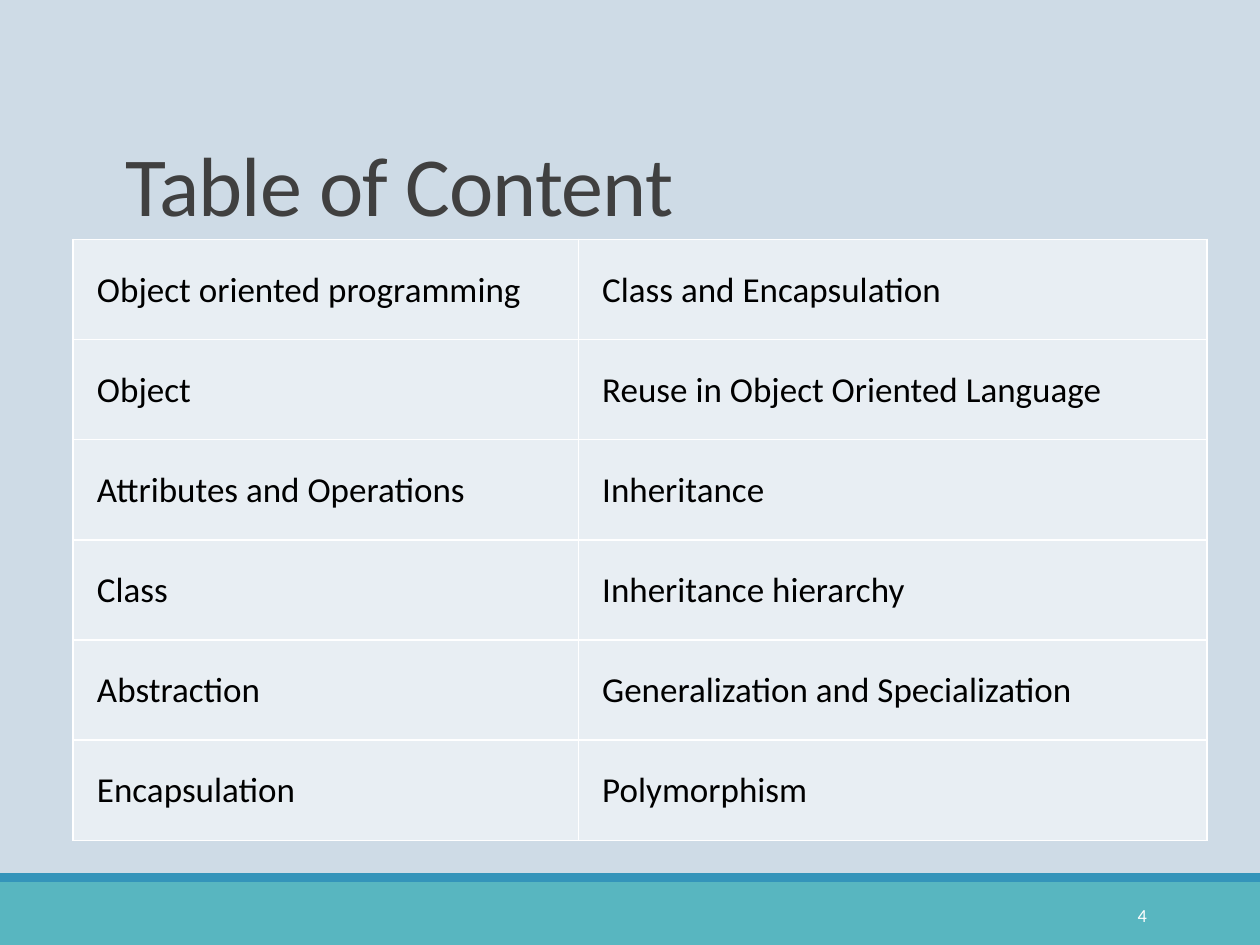
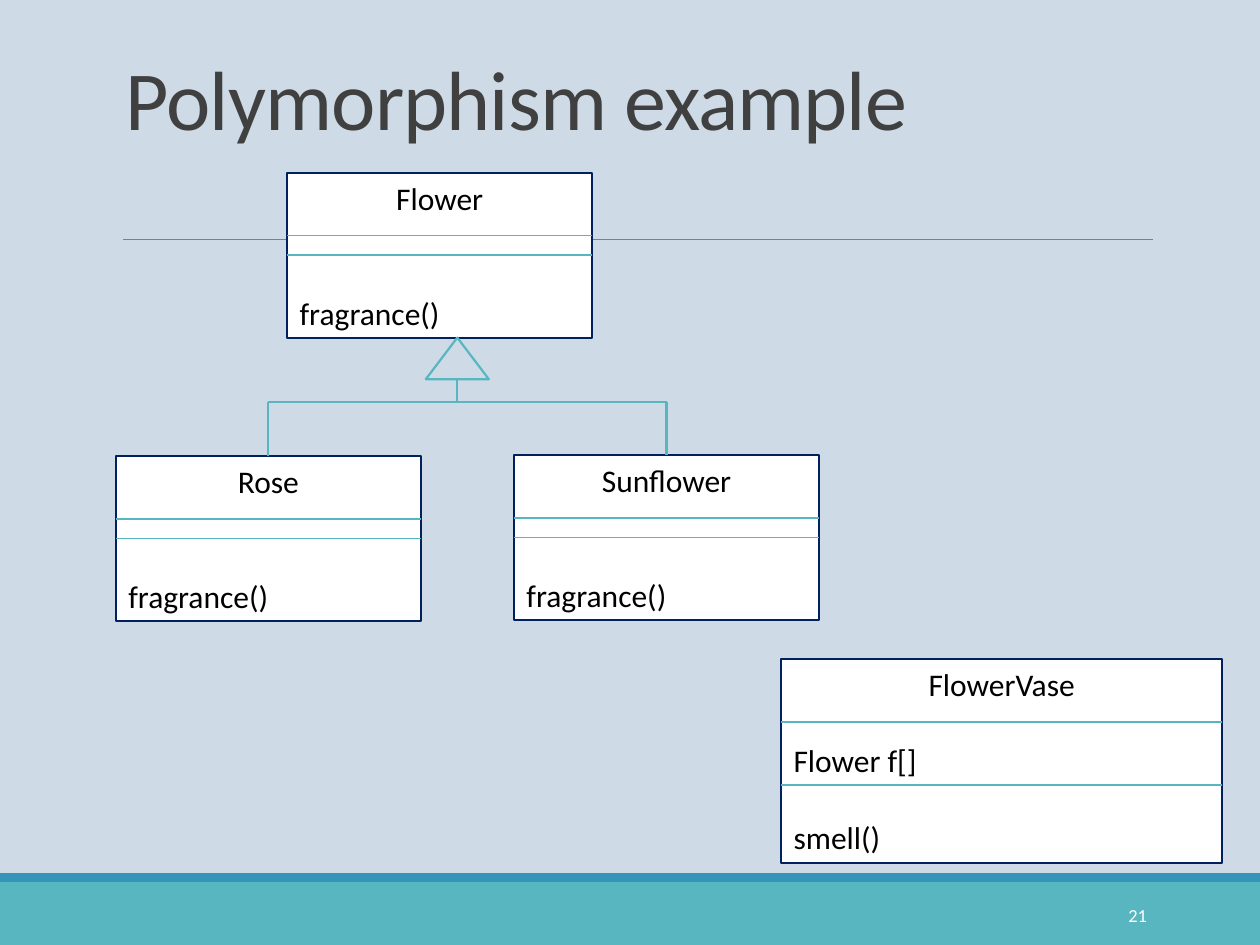
from dataclasses import dataclass
from typing import Any, Optional

from lxml import etree
from pptx import Presentation
from pptx import util as u
from pptx.dml.color import RGBColor
from pptx.enum import shapes, text
from pptx.oxml.ns import qn

FONT = "Calibri"
TEAL, BLUE, NAVY = "58B6C0", "3494BA", "002060"
WHITE, BLACK, DARK, GRAY = "FFFFFF", "000000", "404040", "808080"
GROUND, PALE = "CEDBE6", "E8EEF3"
LEFT, MID, RIGHT = text.PP_ALIGN.LEFT, text.PP_ALIGN.CENTER, text.PP_ALIGN.RIGHT
TOP, CENTER, BOTTOM = (text.MSO_ANCHOR.TOP, text.MSO_ANCHOR.MIDDLE,
                       text.MSO_ANCHOR.BOTTOM)
RECT = shapes.MSO_SHAPE.RECTANGLE
LINE_GAP = 22

TOPICS = [
    ("Object oriented programming", "Class and Encapsulation"),
    ("Object", "Reuse in Object Oriented Language"),
    ("Attributes and Operations", "Inheritance"),
    ("Class", "Inheritance hierarchy"),
    ("Abstraction", "Generalization and Specialization"),
    ("Encapsulation", "Polymorphism"),
]


@dataclass
class Area:
    x: float
    y: float
    w: float
    h: float

    def sizes(self) -> list[int]:
        return [u.Inches(v) for v in (self.x, self.y, self.w, self.h)]


@dataclass
class Line:
    words: str
    align: Any = LEFT
    before: int = 0


@dataclass
class Card:
    area: Area
    lines: list[Line]
    rules: tuple[float, ...]


@dataclass
class Joint:
    shape: Any
    site: int


def color(code: str) -> RGBColor:
    return RGBColor.from_string(code)


def apply(target: Any, values: dict[str, Any]) -> None:
    for key, value in values.items():
        setattr(target, key, value)


def write(frame: Any, lines: list[Line], size: float, ink: str,
          anchor: Any = TOP) -> None:
    apply(frame, {"word_wrap": True, "vertical_anchor": anchor})
    for place, line in enumerate(lines):
        para = frame.add_paragraph() if place else frame.paragraphs[0]
        apply(para, {"alignment": line.align, "space_before": u.Pt(line.before)})
        run = para.add_run()
        run.text = line.words
        apply(run.font, {"name": FONT, "size": u.Pt(size)})
        run.font.color.rgb = color(ink)


def label(slide: Any, area: Area, line: Line, size: float, ink: str,
          anchor: Any) -> Any:
    box = slide.shapes.add_textbox(*area.sizes())
    write(box.text_frame, [line], size, ink, anchor)
    return box.text_frame.paragraphs[0]


def block(slide: Any, area: Area, fill: Optional[str] = None,
          edge: Optional[str] = None, kind: Any = RECT) -> Any:
    shape = slide.shapes.add_shape(kind, *area.sizes())
    shape.shadow.inherit = False
    if fill:
        shape.fill.solid()
        shape.fill.fore_color.rgb = color(fill)
    else:
        shape.fill.background()
    if edge:
        shape.line.color.rgb = color(edge)
        shape.line.width = u.Pt(1.25)
    else:
        shape.line.fill.background()
    return shape


def stroke(slide: Any, x1: float, y1: float, x2: float, y2: float,
           ink: str = TEAL, width: float = 1.25,
           start: Optional[Joint] = None, end: Optional[Joint] = None) -> None:
    ends = [u.Inches(v) for v in (x1, y1, x2, y2)]
    wire = slide.shapes.add_connector(shapes.MSO_CONNECTOR.STRAIGHT, *ends)
    wire.line.color.rgb = color(ink)
    wire.line.width = u.Pt(width)
    etree.SubElement(wire._element.spPr, qn("a:effectLst"))
    if start:
        wire.begin_connect(start.shape, start.site)
    if end:
        wire.end_connect(end.shape, end.site)


def begin(deck: Any, title: str, height: float, number: int) -> Any:
    slide = deck.slides.add_slide(deck.slide_layouts[6])
    slide.background.fill.solid()
    slide.background.fill.fore_color.rgb = color(GROUND)
    block(slide, Area(0, 7, 10, 0.5), TEAL)
    block(slide, Area(0, 6.93, 10, 0.07), BLUE)
    stroke(slide, 0.98, 1.9, 9.15, 1.9, GRAY, 0.5)
    head = label(slide, Area(0.9, 0.31, 8.25, height), Line(title), 48, DARK, BOTTOM)
    head.line_spacing = 0.85
    head.runs[0].font._element.set("spc", "-50")
    label(slide, Area(8.12, 7.06, 1.08, 0.4), Line(str(number), RIGHT),
          10.5, WHITE, CENTER)
    return slide


def border(cell: Any, ink: str, width: float) -> None:
    props = cell._tc.get_or_add_tcPr()
    for side in ("lnL", "lnR", "lnT", "lnB"):
        line = etree.SubElement(props, qn(f"a:{side}"), w=str(u.Pt(width)))
        fill = etree.SubElement(line, qn("a:solidFill"))
        etree.SubElement(fill, qn("a:srgbClr"), val=ink)


def grid(slide: Any, area: Area, widths: list[float],
         rows: list[tuple[str, str]]) -> None:
    table = slide.shapes.add_table(len(rows), len(widths), *area.sizes()).table
    apply(table, {"first_row": False, "horz_banding": False})
    for column, width in zip(table.columns, widths):
        column.width = u.Inches(width)
    margins = {"margin_left": u.Inches(0.19), "margin_top": u.Inches(0.01),
               "margin_right": u.Inches(0.01), "margin_bottom": 0,
               "vertical_anchor": CENTER}
    for r, row in enumerate(rows):
        for c, words in enumerate(row):
            cell = table.cell(r, c)
            apply(cell, margins)
            border(cell, WHITE, 1)
            cell.fill.solid()
            cell.fill.fore_color.rgb = color(PALE)
            write(cell.text_frame, [Line(words)], 20, BLACK, CENTER)


def draw(slide: Any, card: Card) -> Any:
    area = card.area
    shape = block(slide, area, WHITE, NAVY)
    write(shape.text_frame, card.lines, 18, BLACK)
    for drop in card.rules:
        y = area.y + drop
        joined = drop == area.h / 2
        stroke(slide, area.x, y, area.x + area.w, y, width=1,
               start=Joint(shape, 1) if joined else None,
               end=Joint(shape, 3) if joined else None)
    return shape


def bloom(name: str, x: float, y: float) -> Card:
    area = Area(x, y, 2.42, 1.31)
    lines = [Line(name, MID), Line("fragrance()", before=2 * LINE_GAP)]
    return Card(area, lines, (0.5, area.h / 2))


def topics(deck: Any) -> None:
    slide = begin(deck, "Table of Content", 1.59, 4)
    grid(slide, Area(0.58, 1.9, 9, 4.77), [4.01, 4.99], TOPICS)


def flowers(deck: Any) -> None:
    slide = begin(deck, "Polymorphism example", 0.91, 21)
    draw(slide, bloom("Flower", 2.28, 1.37))
    kinds = [bloom("Rose", 0.92, 3.62), bloom("Sunflower", 4.08, 3.61)]
    boxes = [draw(slide, kind) for kind in kinds]

    block(slide, Area(3.38, 2.68, 0.5, 0.33), edge=TEAL,
          kind=shapes.MSO_SHAPE.ISOSCELES_TRIANGLE)
    level = 3.19
    stroke(slide, 3.63, 3.01, 3.63, level)
    stems = [kind.area.x + kind.area.w / 2 for kind in kinds]
    stroke(slide, stems[0], level, stems[1], level)
    for x, kind, box in zip(stems, kinds, boxes):
        stroke(slide, x, level, x, kind.area.y, end=Joint(box, 0))

    lines = [Line("FlowerVase", MID), Line("Flower f[]", before=LINE_GAP),
             Line("smell()", before=LINE_GAP)]
    draw(slide, Card(Area(6.2, 5.23, 3.5, 1.62), lines, (0.5, 1)))


def main() -> None:
    deck = Presentation()
    apply(deck, {"slide_width": u.Inches(10), "slide_height": u.Inches(7.5)})
    topics(deck)
    flowers(deck)
    deck.save("out.pptx")


if __name__ == "__main__":
    main()
